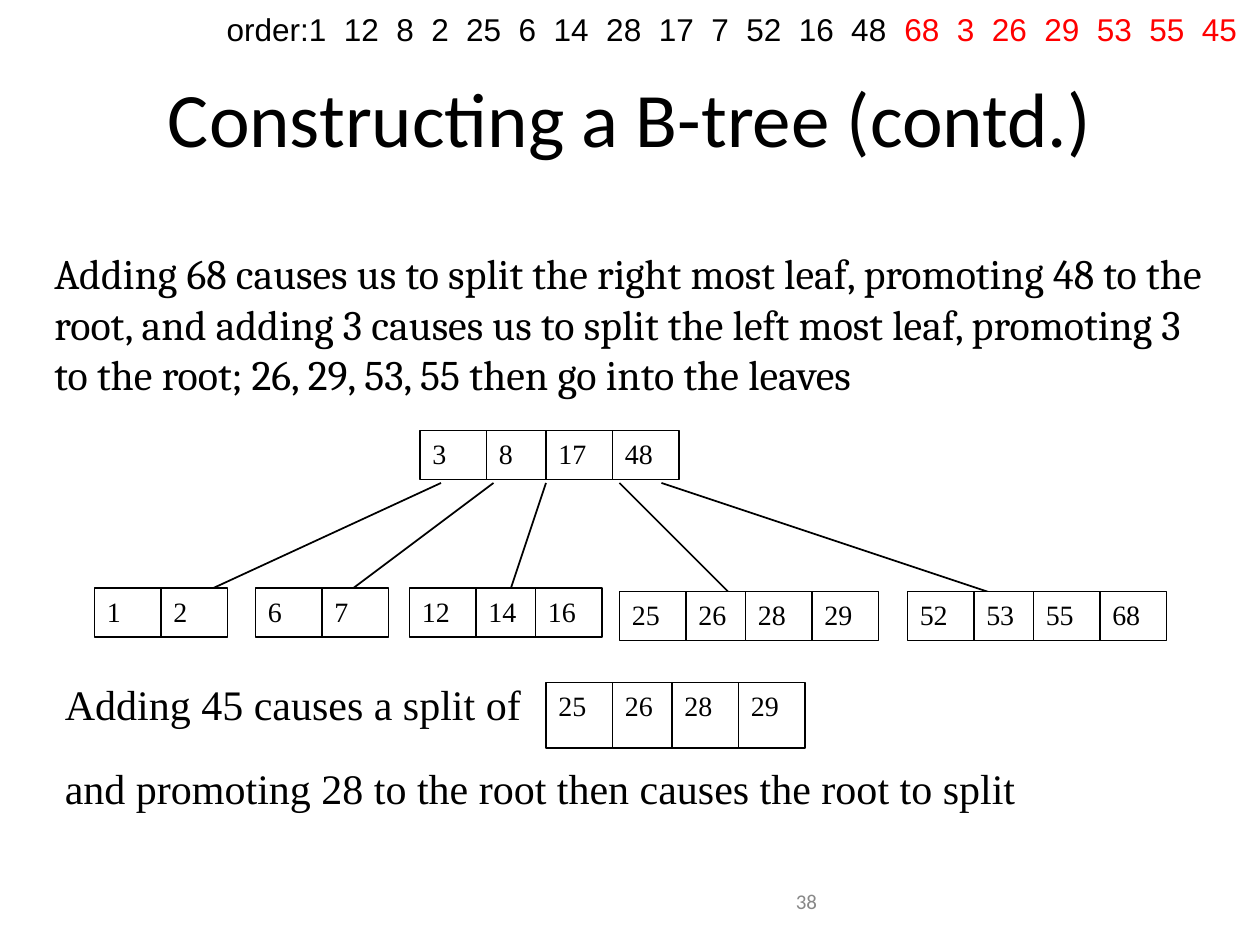
from lxml.etree import SubElement
from pptx import Presentation
from pptx.dml.color import RGBColor
from pptx.enum.shapes import MSO_CONNECTOR as CONNECTOR, MSO_SHAPE as SHAPE
from pptx.enum.text import MSO_ANCHOR as ANCHOR, PP_ALIGN as ALIGN
from pptx.oxml.ns import qn
from pptx.util import Pt

COLORS = {"ink": "000000", "paper": "FFFFFF", "pending": "FF0000", "number": "888888"}
SERIF = "Times New Roman"

# Left edges of the keys within a node
KEY_OFFSETS = (0, 38, 72, 110)
KEY_WIDTH = 38

# Left, top, keys
ROOT = (240, 246, (3, 8, 17, 48))
LEAVES = (
    (54, 336, (1, 2)),
    (146, 336, (6, 7)),
    (234, 336, (12, 14, 16)),
    (354, 338, (25, 26, 28, 29)),
    (518.5, 338, (52, 53, 55, 68)),
)
SPLIT_LEAF = (312, 390, (25, 26, 28, 29))

# Left end under the root, right end on a leaf
BRANCH_TOP, BRANCH_BOTTOM = 276, 348
BRANCHES = ((252, 96), (282, 186), (312, 288), (354, 426), (378, 594))

INSERTED = (1, 12, 8, 2, 25, 6, 14, 28, 17, 7, 52, 16, 48)
PENDING = (68, 3, 26, 29, 53, 55, 45)


def color(name):
    return RGBColor.from_string(COLORS[name])


def add_run(paragraph, text, font, size, color_name="ink"):
    run = paragraph.add_run()
    run.text = text
    run.font.name = font
    run.font.size = Pt(size)
    run.font.color.rgb = color(color_name)


def add_text(shapes, box, runs, align=ALIGN.LEFT, anchor=ANCHOR.TOP):
    shape = shapes.add_textbox(*map(Pt, box))
    frame = shape.text_frame
    frame.word_wrap = True
    frame.vertical_anchor = anchor
    paragraph = frame.paragraphs[0]
    paragraph.alignment = align
    for run in runs:
        add_run(paragraph, *run)


def add_title(slide, text):
    title = slide.shapes.title
    title.left, title.top, title.width, title.height = map(Pt, (36, 21.6, 648, 90))
    title.text_frame.vertical_anchor = ANCHOR.MIDDLE
    paragraph = title.text_frame.paragraphs[0]
    paragraph.alignment = ALIGN.CENTER
    add_run(paragraph, text, "Calibri", 44)


def add_node(shapes, left, top, keys, height=28):
    for offset, key in zip(KEY_OFFSETS, keys):
        box = (left + offset, top, KEY_WIDTH, height)
        shape = shapes.add_shape(SHAPE.RECTANGLE, *map(Pt, box))
        shape.shadow.inherit = False
        shape.fill.solid()
        shape.fill.fore_color.rgb = color("paper")
        shape.line.color.rgb = color("ink")
        shape.line.width = Pt(0.75)
        shape.text_frame.vertical_anchor = ANCHOR.TOP
        paragraph = shape.text_frame.paragraphs[0]
        paragraph.alignment = ALIGN.LEFT
        add_run(paragraph, str(key), SERIF, 16)


def add_branch(shapes, start, end):
    ends = map(Pt, (start, BRANCH_TOP, end, BRANCH_BOTTOM))
    connector = shapes.add_connector(CONNECTOR.STRAIGHT, *ends)
    connector.line.color.rgb = color("ink")
    connector.line.width = Pt(1)
    SubElement(connector._element.spPr, qn("a:effectLst"))


def join_keys(keys):
    return "  ".join(map(str, keys))


def main():
    presentation = Presentation()
    presentation.slide_width, presentation.slide_height = Pt(720), Pt(540)
    slide = presentation.slides.add_slide(presentation.slide_layouts[5])
    shapes = slide.shapes

    # Title, page number and explanation
    add_title(slide, "Constructing a B-tree (contd.)")
    add_text(shapes, (246, 500.5, 228, 28.8), [("38", "Calibri", 12, "number")],
             ALIGN.RIGHT, ANCHOR.MIDDLE)
    explanation = (
        "Adding 68 causes us to split the right most leaf, promoting 48 to the root, "
        "and adding 3 causes us to split the left most leaf, promoting 3 to the root; "
        "26, 29, 53, 55 then go into the leaves"
    )
    add_text(shapes, (24, 138, 672, 94.5), [(explanation, "Cambria", 24)])

    # Tree: branches lie behind the nodes
    for start, end in BRANCHES:
        add_branch(shapes, start, end)
    for node in (ROOT, *LEAVES):
        add_node(shapes, *node)

    # Next step: the leaf that splits
    group = shapes.add_group_shape()
    add_text(group.shapes, (30, 384, 300, 37.5),
             [("Adding 45 causes a split of", SERIF, 24)])
    add_node(group.shapes, *SPLIT_LEAF, height=37.5)
    add_text(group.shapes, (30, 432, 637, 37.5),
             [("and promoting 28 to the root then causes the root to split", SERIF, 24)])

    # Order of insertion, with the keys of this step in red
    add_text(shapes, (72, 2, 642, 29), [
        ("order:" + join_keys(INSERTED) + "  ", "Arial", 18),
        (join_keys(PENDING), "Arial", 18, "pending"),
    ], ALIGN.RIGHT)

    presentation.save("out.pptx")


if __name__ == "__main__":
    main()
